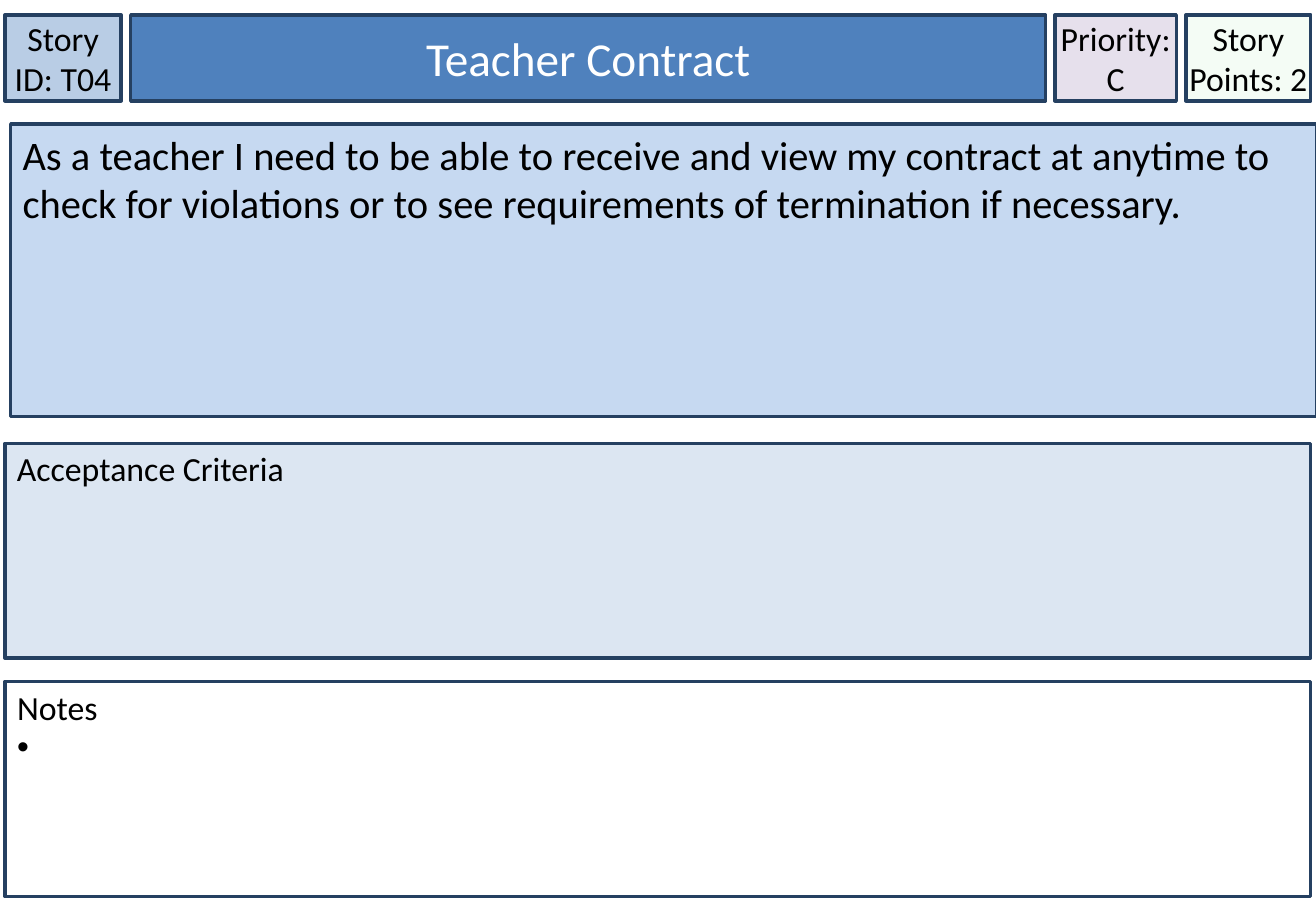
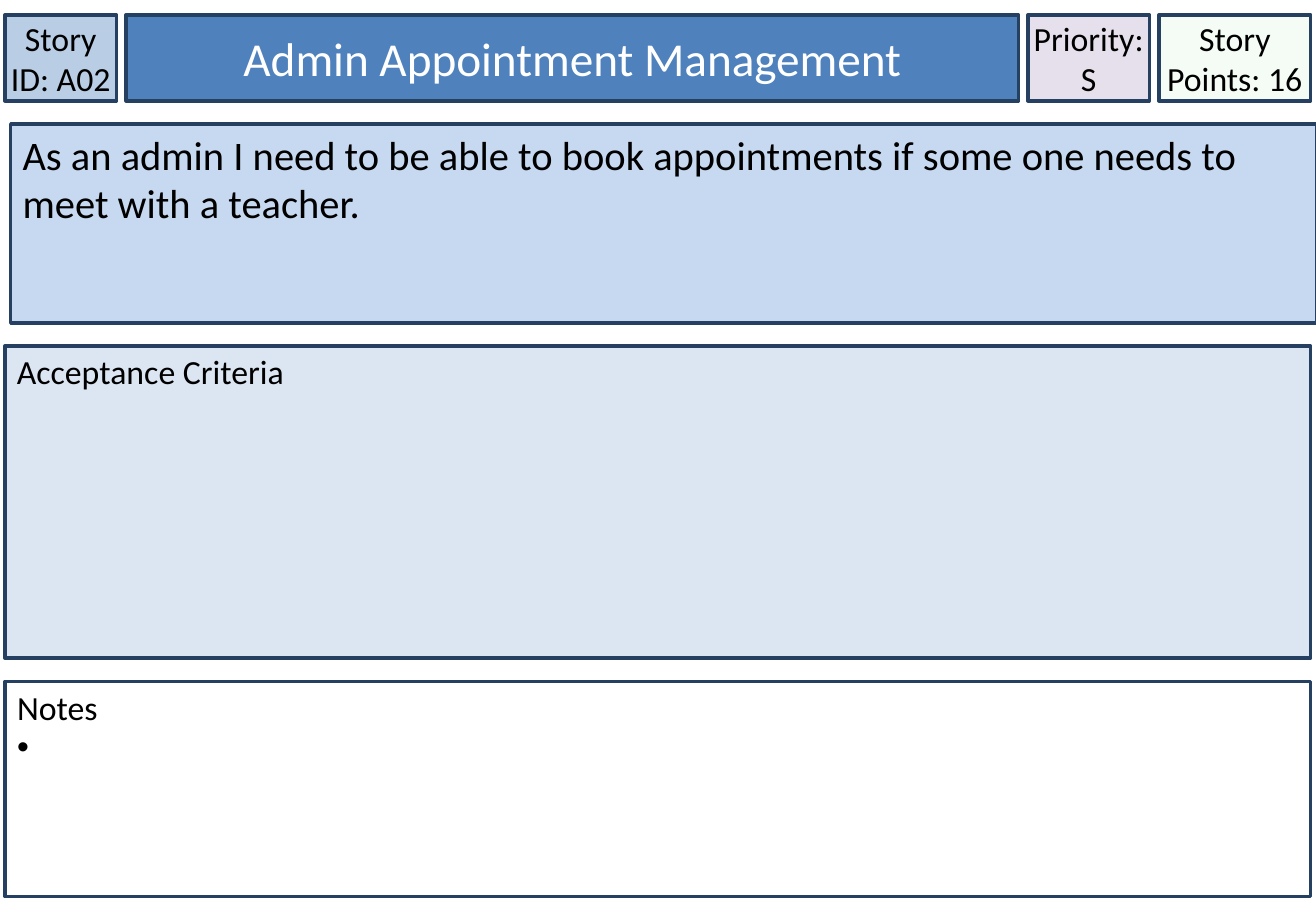
from lxml.etree import SubElement
from pptx import Presentation
from pptx.dml.color import RGBColor
from pptx.enum.shapes import MSO_SHAPE
from pptx.enum.text import MSO_ANCHOR, MSO_AUTO_SIZE, PP_ALIGN
from pptx.oxml.ns import qn
from pptx.util import Pt

COLORS = {
    "outline": "254061",
    "id": "B9CDE5",
    "title": "4F81BD",
    "priority": "E6E0EC",
    "points": "CCF0CD",
    "story": "C6D9F1",
    "criteria": "DCE6F2",
    "notes": "FFFFFF",
    "text": "000000",
    "title_text": "FFFFFF",
}
FONT = "Calibri"
LEFT, WIDTH = 2.9, 774
HEADER_TOP, HEADER_HEIGHT, HEADER_GAP = 8.8, 51, 5.6
PRIORITY_WIDTH = 72
STORY_LEFT, STORY_TOP = 6.3, 73.4
NOTES_TOP, NOTES_HEIGHT, SECTION_GAP = 404, 127.4, 13.8
BULLET_INDENT = 14.4

TAG_FRAME = {"margin_left": 0, "margin_right": 0, "vertical_anchor": MSO_ANCHOR.MIDDLE}
TITLE_FRAME = {"vertical_anchor": MSO_ANCHOR.MIDDLE}
STORY_FRAME = {"vertical_anchor": MSO_ANCHOR.TOP}
SECTION_FRAME = {"vertical_anchor": MSO_ANCHOR.TOP, "margin_top": Pt(2.9)}

STORIES = [
    {
        "id": "T04", "title": "Teacher Contract", "priority": "C", "points": 2,
        "story": "As a teacher I need to be able to receive and view my contract at anytime to "
                 "check for violations or to see requirements of termination if necessary.",
        "id_width": 69, "points_width": 74, "story_height": 173.5, "criteria_height": 127.4,
    },
    {
        "id": "A02", "title": "Admin Appointment Management", "priority": "S", "points": 16,
        "story": "As an admin I need to be able to book appointments if some one needs to "
                 "meet with a teacher.",
        "id_width": 66.2, "points_width": 90, "story_height": 118, "criteria_height": 185,
    },
]


def rgb(name):
    """Return the named colour."""
    return RGBColor.from_string(COLORS[name])


class StoryCard:
    """Draw the parts of one story card on a new slide."""

    def __init__(self, deck):
        """Add the slide with its title and list placeholders."""
        self.slide = deck.slides.add_slide(deck.slide_layouts[1])

    def panel(self, part, place, lines, size, frame, align=PP_ALIGN.LEFT, ink="text", holder=None):
        """Draw an outlined panel with text, in a placeholder if one is given."""
        left, top, width, height = (Pt(length) for length in place)
        panel = holder or self.slide.shapes.add_shape(MSO_SHAPE.RECTANGLE, left, top, width, height)
        bounds = {"left": left, "top": top, "width": width, "height": height}
        for name, value in bounds.items():
            setattr(panel, name, value)
        panel.shadow.inherit = False
        panel.fill.solid()
        panel.fill.fore_color.rgb = rgb(part)
        panel.line.color.rgb = rgb("outline")
        panel.line.width = Pt(2)
        text = panel.text_frame
        for name, value in {"word_wrap": True, "auto_size": MSO_AUTO_SIZE.NONE, **frame}.items():
            setattr(text, name, value)
        text.text = "\n".join(lines)
        for paragraph in text.paragraphs:
            paragraph.alignment = align
            paragraph.space_before = Pt(0)
            for run in paragraph.runs:
                for name, value in {"name": FONT, "size": Pt(size)}.items():
                    setattr(run.font, name, value)
                run.font.color.rgb = rgb(ink)
        return panel

    def tag(self, part, left, width, lines, **frame):
        """Draw a small centred panel in the header row."""
        place = (left, HEADER_TOP, width, HEADER_HEIGHT)
        return self.panel(part, place, lines, 20, {**TAG_FRAME, **frame}, PP_ALIGN.CENTER)

    def header(self, story):
        """Draw the header row, with the title taking the remaining width."""
        title_left = LEFT + story["id_width"] + HEADER_GAP
        points_left = LEFT + WIDTH - story["points_width"]
        priority_left = points_left - HEADER_GAP - PRIORITY_WIDTH
        title_width = priority_left - HEADER_GAP - title_left
        self.tag("id", LEFT, story["id_width"], [f"Story ID: {story['id']}"])
        self.panel("title", (title_left, HEADER_TOP, title_width, HEADER_HEIGHT), [story["title"]],
                   28, TITLE_FRAME, PP_ALIGN.CENTER, "title_text", self.slide.shapes.title)
        self.tag("priority", priority_left, PRIORITY_WIDTH, ["Priority:", story["priority"]],
                 word_wrap=False)
        points = self.tag("points", points_left, story["points_width"],
                          [f"Story Points: {story['points']}"])
        tint = next(points.fill._xPr.iter(qn("a:srgbClr")))
        SubElement(tint, qn("a:alpha"), val="20000")

    def sections(self, story):
        """Draw the story, the acceptance criteria and the notes."""
        criteria_height = story["criteria_height"]
        criteria_top = NOTES_TOP - SECTION_GAP - criteria_height
        self.panel("story", (STORY_LEFT, STORY_TOP, WIDTH, story["story_height"]),
                   [story["story"]], 24, STORY_FRAME)
        self.panel("criteria", (LEFT, criteria_top, WIDTH, criteria_height),
                   ["Acceptance Criteria"], 20, SECTION_FRAME)
        notes = self.panel("notes", (LEFT, NOTES_TOP, WIDTH, NOTES_HEIGHT), ["Notes", " "], 20,
                           SECTION_FRAME, holder=self.slide.placeholders[1])
        heading, item = notes.text_frame.paragraphs
        self.bullet(heading, 0, "buNone")
        self.bullet(item, BULLET_INDENT, "buChar", char="•")

    def bullet(self, paragraph, indent, kind, **mark):
        """Set the hanging indent and the bullet of a paragraph."""
        properties = paragraph._p.get_or_add_pPr()
        for name, value in {"marL": Pt(indent), "indent": -Pt(indent)}.items():
            properties.set(name, str(int(value)))
        SubElement(properties, qn(f"a:{kind}"), **mark)


def main():
    """Build the deck of story cards."""
    deck = Presentation()
    deck.slide_width, deck.slide_height = Pt(780), Pt(540)
    for story in STORIES:
        card = StoryCard(deck)
        card.header(story)
        card.sections(story)
    deck.save("out.pptx")


if __name__ == "__main__":
    main()
